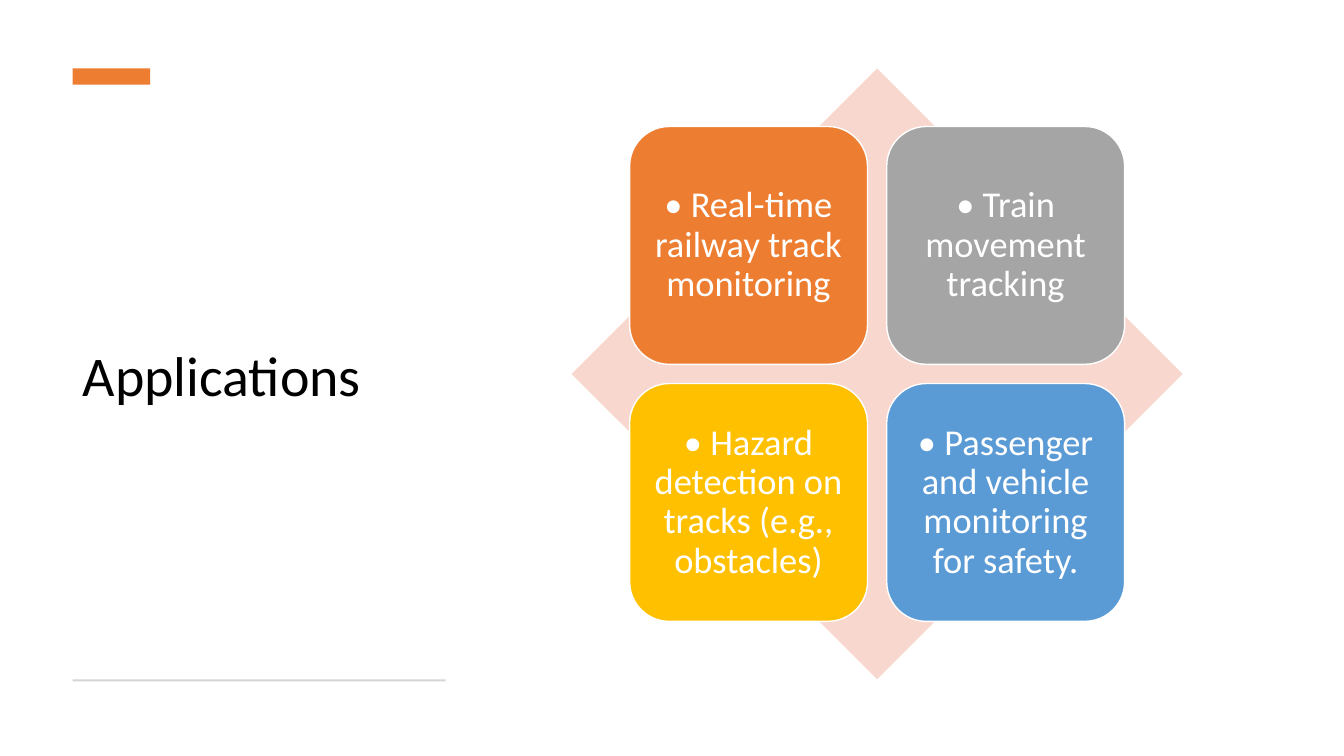
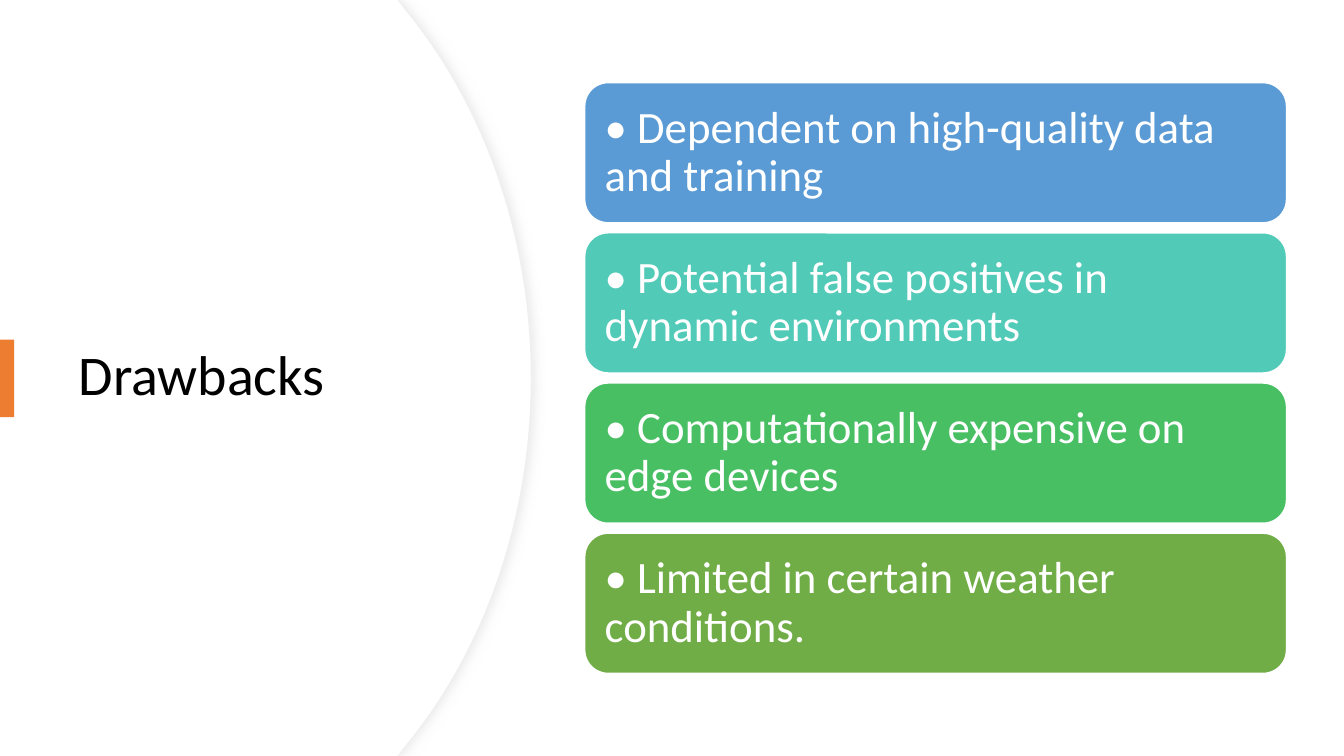
from dataclasses import dataclass
from pptx import Presentation
from pptx.dml.color import RGBColor as Rgb
from pptx.enum.shapes import MSO_SHAPE as Kind
from pptx.enum.text import MSO_ANCHOR as Anchor, MSO_AUTO_SIZE as Fit, PP_ALIGN as Align
from pptx.oxml import parse_xml
from pptx.util import Inches, Pt


@dataclass(frozen=True)
class Theme:
    font: str = "Calibri"
    ink: str = "000000"
    paper: str = "FFFFFF"
    accent: str = "ED7D31"
    rule: str = "D5D5D5"
    pale: str = "F8D7CE"
    edge: str = "EFEFEF"
    shade: str = "D9D9D9"
    head: int = 40
    tile: int = 26
    bar: int = 32


T = Theme()
SIZE = (13.33, 7.5)

USES = {
    "title": "Applications",
    "box": (0.72, 1.05, 3.7, 5.41),
    "marks": [((0.72, 0.68, 0.77, 0.16), T.accent), ((0.72, 6.74, 3.7, 0.02), T.rule)],
    "items": [
        ("• Real-time railway track monitoring", T.accent),
        ("• Train movement tracking", "A5A5A5"),
        ("• Hazard detection on tracks (e.g., obstacles)", "FFC000"),
        ("• Passenger and vehicle monitoring for safety.", "5B9BD5"),
    ],
}
FLAWS = {
    "title": "Drawbacks",
    "box": (0.68, 1.27, 3.94, 4.95),
    "marks": [((0, 3.37, 0.14, 0.77), T.accent)],
    "items": [
        ("• Dependent on high-quality data and training", "5B9BD5"),
        ("• Potential false positives in dynamic environments", "52CAB8"),
        ("• Computationally expensive on edge devices", "49BF64"),
        ("• Limited in certain weather conditions.", "70AD47"),
    ],
}
ARC = [(4, 0.08), (4.78, 1.02), (5.26, 2.32), (5.26, 3.75)]
STEPS = 24


def put(obj, vals):
    for key, val in vals.items():
        setattr(obj, key, val)


def place(shape, box):
    put(shape, dict(zip(("left", "top", "width", "height"), map(Inches, box))))


def paint(shape, fill, line=None, width=1):
    shape.shadow.inherit = False
    shape.fill.solid()
    shape.fill.fore_color.rgb = Rgb.from_string(fill)
    if line:
        shape.line.color.rgb = Rgb.from_string(line)
        shape.line.width = Pt(width)
    else:
        shape.line.fill.background()


def write(shape, text, size, color, align, pad=None):
    frame = shape.text_frame
    put(frame, {"text": text, "word_wrap": True, "auto_size": Fit.NONE,
                "vertical_anchor": Anchor.MIDDLE})
    if pad:
        sides = ("left", "top", "right", "bottom")
        put(frame, {f"margin_{side}": Inches(pad) for side in sides})
    para = frame.paragraphs[0]
    put(para, {"alignment": align, "line_spacing": 0.9})
    font = para.runs[0].font
    put(font, {"name": T.font, "size": Pt(size)})
    font.color.rgb = Rgb.from_string(color)


def draw(slide, kind, box, fill, line=None):
    shape = slide.shapes.add_shape(kind, *map(Inches, box))
    paint(shape, fill, line)
    return shape


def card(slide, box, item, size, align, pad):
    text, fill = item
    shape = draw(slide, Kind.ROUNDED_RECTANGLE, box, fill, T.paper)
    write(shape, text, size, T.paper, align, pad)


def start(deck, page):
    slide = deck.slides.add_slide(deck.slide_layouts[5])
    title = slide.shapes.title
    place(title, page["box"])
    write(title, page["title"], T.head, T.ink, Align.LEFT)
    for box, fill in page["marks"]:
        draw(slide, Kind.RECTANGLE, box, fill)
    return slide


def bezier(t):
    mix = ((1 - t) ** 3, 3 * t * (1 - t) ** 2, 3 * t * t * (1 - t), t ** 3)
    return tuple(sum(m * p[axis] for m, p in zip(mix, ARC)) for axis in (0, 1))


def curve(slide, shift):
    high = SIZE[1]
    upper = [(3.94, 0)] + [bezier(i / STEPS) for i in range(STEPS + 1)]
    upper = [(x + shift, y) for x, y in upper]
    lower = [(x, high - y) for x, y in reversed(upper[:-1])]
    dots = [(Inches(x), Inches(y)) for x, y in upper + lower + [(0, high)]]
    path = slide.shapes.build_freeform(0, 0)
    path.add_line_segments(dots, close=True)
    shape = path.convert_to_shape()
    slide.shapes.title.element.addprevious(shape.element)
    return shape


def cast(shape):
    list(shape.element.spPr)[-1].getparent().remove(shape.element.spPr[-1])
    shape.element.spPr.append(parse_xml(
        '<a:effectLst xmlns:a="http://schemas.openxmlformats.org/drawingml/2006/main">'
        f'<a:outerShdw blurRad="{Pt(7)}" dist="{Pt(3)}" dir="0">'
        f'<a:srgbClr val="{T.shade}"><a:alpha val="50000"/></a:srgbClr>'
        '</a:outerShdw></a:effectLst>'))


def uses(deck):
    slide = start(deck, USES)
    mid, side, gap, span = (8.7, 3.71), 2.36, 0.19, 6.06
    draw(slide, Kind.DIAMOND, [c - span / 2 for c in mid] + [span, span], T.pale)
    left, top = (c - gap / 2 - side for c in mid)
    for i, item in enumerate(USES["items"]):
        row, col = divmod(i, 2)
        box = (left + col * (side + gap), top + row * (side + gap), side, side)
        card(slide, box, item, T.tile, Align.CENTER, 0.11)


def flaws(deck):
    slide = start(deck, FLAWS)
    rim = curve(slide, 0.01)
    paint(rim, T.paper, T.edge, 0.75)
    cast(rim)
    paint(curve(slide, 0), T.paper)
    high, gap = 1.39, 0.1
    for i, item in enumerate(FLAWS["items"]):
        box = (5.8, 0.82 + i * (high + gap), 6.96, high)
        card(slide, box, item, T.bar, Align.LEFT, 0.13)


def main():
    deck = Presentation()
    put(deck, dict(zip(("slide_width", "slide_height"), map(Inches, SIZE))))
    uses(deck)
    flaws(deck)
    deck.save("out.pptx")


if __name__ == "__main__":
    main()
